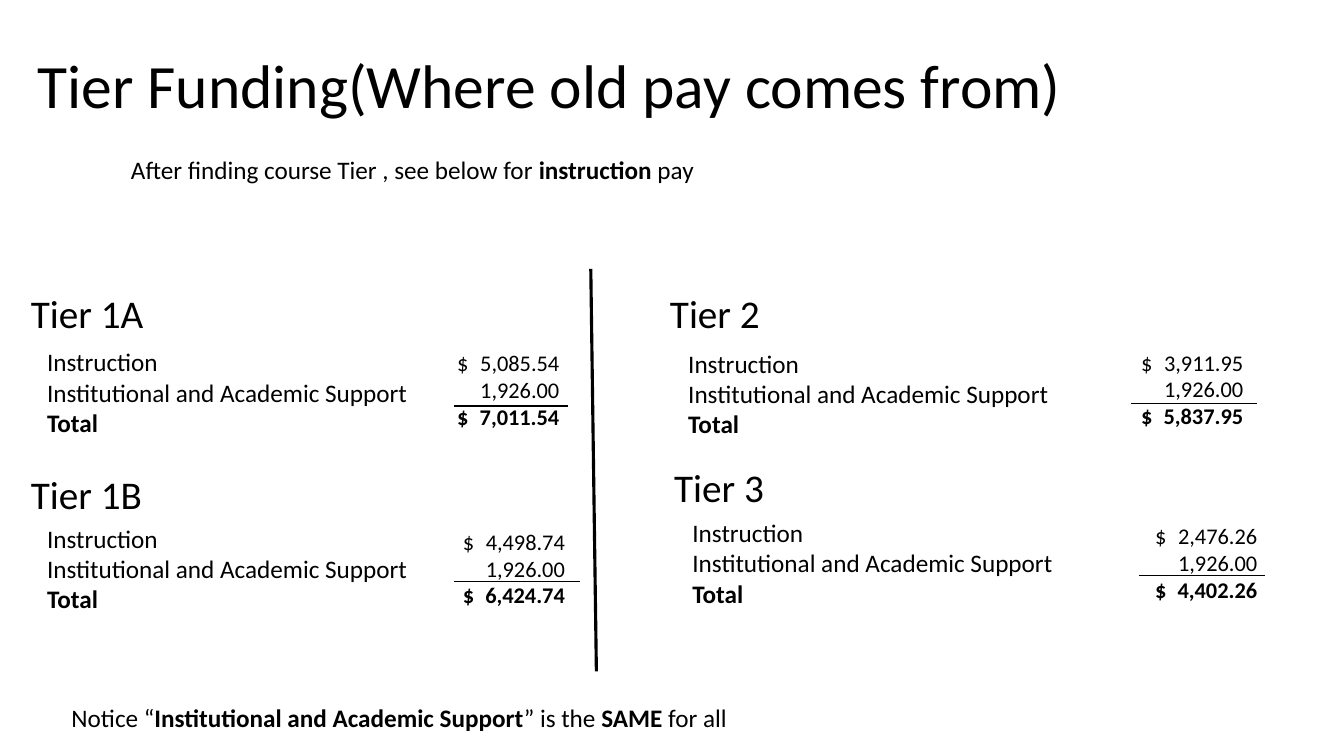
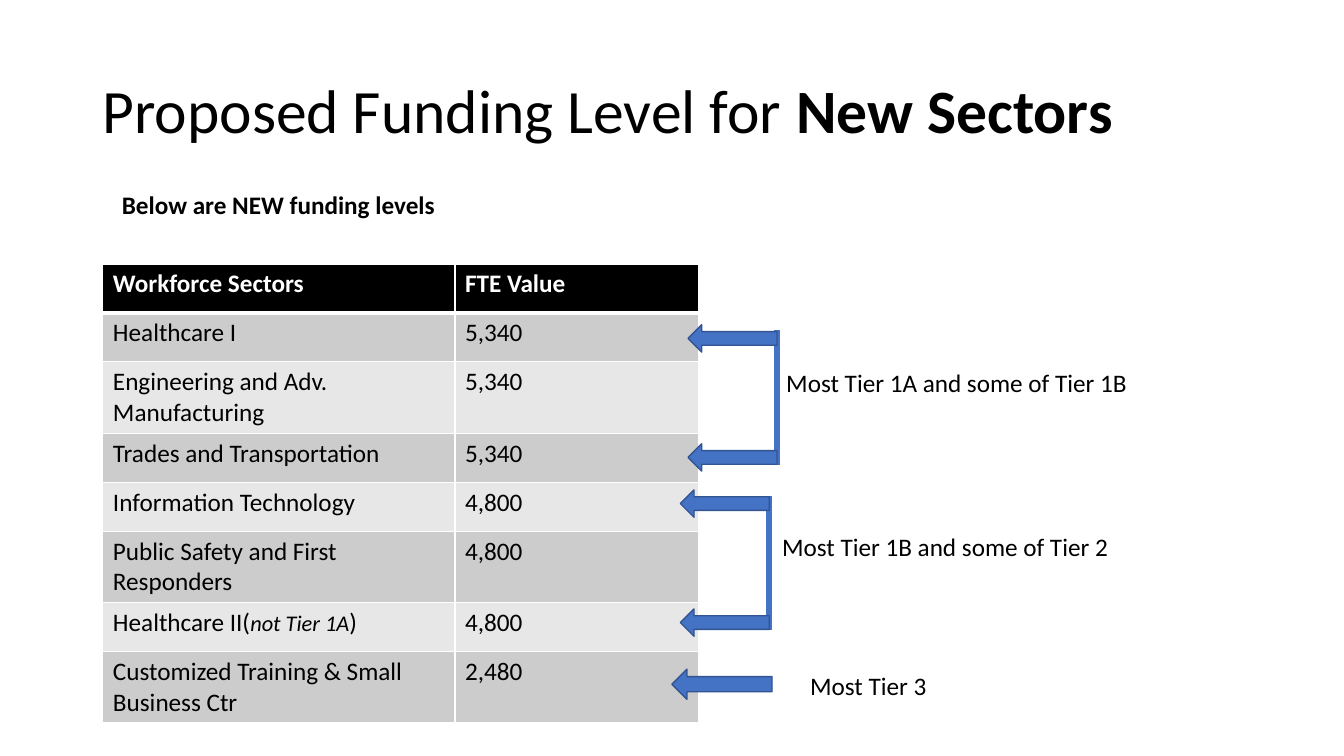
from lxml import etree
from pptx import Presentation
from pptx.dml.color import RGBColor
from pptx.enum.shapes import MSO_CONNECTOR, MSO_SHAPE
from pptx.enum.text import MSO_ANCHOR, MSO_AUTO_SIZE, PP_ALIGN
from pptx.oxml.ns import qn
from pptx.util import Pt

STRAIGHT = MSO_CONNECTOR.STRAIGHT
LEFT_ARROW = MSO_SHAPE.LEFT_ARROW
MIDDLE = MSO_ANCHOR.MIDDLE
NO_AUTOFIT = MSO_AUTO_SIZE.NONE
LEFT = PP_ALIGN.LEFT

BLACK = RGBColor(0x00, 0x00, 0x00)
WHITE = RGBColor(0xFF, 0xFF, 0xFF)
BLUE = RGBColor(0x44, 0x72, 0xC4)
DARK_BLUE = RGBColor(0x32, 0x54, 0x91)
BAND_DARK = RGBColor(0xCC, 0xCC, 0xCC)
BAND_LIGHT = RGBColor(0xE7, 0xE7, 0xE7)
FONT = "Calibri"
TITLE_ONLY = 5


class Deck:
    """Holds the presentation, its style and the current slide."""

    def __init__(self):
        self.presentation = Presentation()
        self.presentation.slide_width = Pt(960)
        self.presentation.slide_height = Pt(540)
        self.slide = None

    def fill_paragraph(self, paragraph, runs, size=18, color=BLACK, bold=False):
        """Fill a paragraph; runs is a string or (text, bold) pairs."""
        if isinstance(runs, str):
            runs = [(runs, bold)]
        for text, strong in runs:
            run = paragraph.add_run()
            run.text = text
            if strong:
                run.font.bold = True
        font = paragraph.font
        font.name, font.size, font.color.rgb = FONT, Pt(size), color

    def add_slide(self, left, top, title):
        layout = self.presentation.slide_layouts[TITLE_ONLY]
        self.slide = self.presentation.slides.add_slide(layout)
        shape = self.slide.shapes.title
        shape.left, shape.top = Pt(left), Pt(top)
        shape.width, shape.height = Pt(828), Pt(104)
        frame = shape.text_frame
        frame.word_wrap = True
        frame.auto_size = NO_AUTOFIT
        frame.vertical_anchor = MIDDLE
        paragraph = frame.paragraphs[0]
        paragraph.alignment = LEFT
        paragraph.line_spacing = 0.9
        self.fill_paragraph(paragraph, title, 44)

    def text(self, left, top, width, height, lines, size=18, spacing=None, tab=None):
        box = self.slide.shapes.add_textbox(Pt(left), Pt(top), Pt(width), Pt(height))
        frame = box.text_frame
        frame.word_wrap = True
        for index, runs in enumerate(lines):
            paragraph = frame.add_paragraph() if index else frame.paragraphs[0]
            if spacing:
                paragraph.line_spacing = spacing
            if tab:
                properties = paragraph._p.get_or_add_pPr()
                stops = etree.SubElement(properties, qn("a:tabLst"))
                etree.SubElement(stops, qn("a:tab"), pos=str(Pt(tab)), algn="r")
            self.fill_paragraph(paragraph, runs, size)

    def line(self, x1, y1, x2, y2, width, color=BLACK):
        connector = self.slide.shapes.add_connector(
            STRAIGHT, Pt(x1), Pt(y1), Pt(x2), Pt(y2))
        connector.line.width = Pt(width)
        connector.line.color.rgb = color
        etree.SubElement(connector._element.spPr, qn("a:effectLst"))

    def arrow(self, left, top, width, height):
        shape = self.slide.shapes.add_shape(
            LEFT_ARROW, Pt(left), Pt(top), Pt(width), Pt(height))
        shape.shadow.inherit = False
        shape.fill.solid()
        shape.fill.fore_color.rgb = BLUE
        shape.line.color.rgb = DARK_BLUE
        shape.line.width = Pt(1)

    def bracket(self, right, top):
        """Two arrows joined by a vertical line on their right."""
        self.line(right, top + 4, right, top + 100, 4.5, BLUE)
        for offset in (0, 85):
            self.arrow(right - 63.5, top + offset, 63.5, 19.5)

    def borders(self, cell, top, bottom):
        properties = cell._tc.get_or_add_tcPr()
        for side, width in (("L", 1), ("R", 1), ("T", top), ("B", bottom)):
            edge = etree.SubElement(properties, qn("a:ln" + side), w=str(Pt(width)))
            fill = etree.SubElement(edge, qn("a:solidFill"))
            etree.SubElement(fill, qn("a:srgbClr"), val=str(WHITE))

    def table(self, left, top, widths, heights, rows):
        frame = self.slide.shapes.add_table(
            len(rows), len(widths), Pt(left), Pt(top), Pt(sum(widths)), Pt(sum(heights)))
        table = frame.table
        table.horz_banding = False
        for column, width in zip(table.columns, widths):
            column.width = Pt(width)
        for index, (values, height) in enumerate(zip(rows, heights)):
            header = index == 0
            band = BAND_DARK if index % 2 else BAND_LIGHT
            table.rows[index].height = Pt(height)
            for cell, runs in zip(table.rows[index].cells, values):
                self.borders(cell, 3 if index == 1 else 1, 3 if header else 1)
                cell.fill.solid()
                cell.fill.fore_color.rgb = BLACK if header else band
                self.fill_paragraph(cell.text_frame.paragraphs[0], runs,
                                    color=WHITE if header else BLACK, bold=header)
        return table

    def tier(self, name, heading, labels, amounts, rule, pay, total):
        """Heading, cost labels and a summed column of amounts."""
        self.text(*heading, 119, 36, [name], 28, spacing=0.8)
        self.text(*labels, 279, 73, ["Instruction", "Institutional and Academic Support",
                                     [("Total", True)]])
        self.text(*amounts, 106.5, 65.5,
                  [f"$\t{pay}", "\t1,926.00", [(f"$\t{total}", True)]], 16, tab=73)
        left, right, y = rule
        self.line(left, y, right, y, 1)


def tier_funding(deck):
    deck.add_slide(19.5, 11, "Tier Funding(Where old pay comes from)")
    deck.text(86.5, 106.5, 604, 29, [[
        ("After finding course Tier , see below for ", False),
        ("instruction", True), (" pay", False)]])

    # Four tiers on both sides of the divider
    deck.tier("Tier 1A", (15, 209.5), (26.5, 244), (319.5, 246),
              (324.5, 406, 290), "5,085.54", "7,011.54")
    deck.tier("Tier 1B", (15, 339), (26.5, 370), (323.5, 373.5),
              (324.5, 414, 415.5), "4,498.74", "6,424.74")
    deck.tier("Tier 2", (471.5, 209.5), (484.5, 245), (808, 245.5),
              (808, 898, 288), "3,911.95", "5,837.95")
    deck.tier("Tier 3", (474.5, 334), (487.5, 366), (818, 369.5),
              (813.5, 903.5, 411), "2,476.26", "4,402.26")
    deck.line(422, 192, 426, 479.5, 2.25)

    deck.text(44, 498, 604, 29, [[
        ("Notice “", False), ("Institutional and Academic Support", True),
        ("” is the ", False), ("SAME", True), (" for all", False)]])


def new_sectors(deck):
    deck.add_slide(66, 29, [("Proposed Funding Level for ", False),
                            ("New Sectors", True)])
    deck.text(80, 132, 288, 29, [[("Below are NEW funding levels", True)]])

    # Sector table; names on two lines need the taller rows
    one_line, two_lines = 35, 51
    rows = [
        ("Workforce Sectors", "FTE Value"),
        ("Healthcare I", "5,340"),
        ("Engineering and Adv. Manufacturing", "5,340"),
        ("Trades and Transportation", "5,340"),
        ("Information Technology", "4,800"),
        ("Public Safety and First Responders", "4,800"),
        ([("Healthcare II(", False), ("not Tier 1A", False), (")", False)], "4,800"),
        ("Customized Training & Small Business Ctr", "2,480"),
    ]
    heights = [two_lines if index in (2, 5, 7) else one_line
               for index in range(len(rows))]
    table = deck.table(73.5, 188.5, (251.5, 174), heights, rows)
    remark = table.cell(6, 0).text_frame.paragraphs[0].runs[1]
    remark.font.size = Pt(16)
    remark.font.italic = True

    # Links from the sectors to the old tiers
    deck.bracket(555, 232)
    deck.bracket(549.5, 350)
    deck.arrow(480, 478, 71.5, 21.5)
    for left, top, label in (
            (554.5, 258.5, "Most Tier 1A and some of Tier 1B"),
            (551.5, 376, "Most Tier 1B and some of Tier 2"),
            (571.5, 475, "Most Tier 3")):
        deck.text(left, top, 284.5, 29, [label])


def main():
    deck = Deck()
    tier_funding(deck)
    new_sectors(deck)
    deck.presentation.save("out.pptx")


if __name__ == "__main__":
    main()
